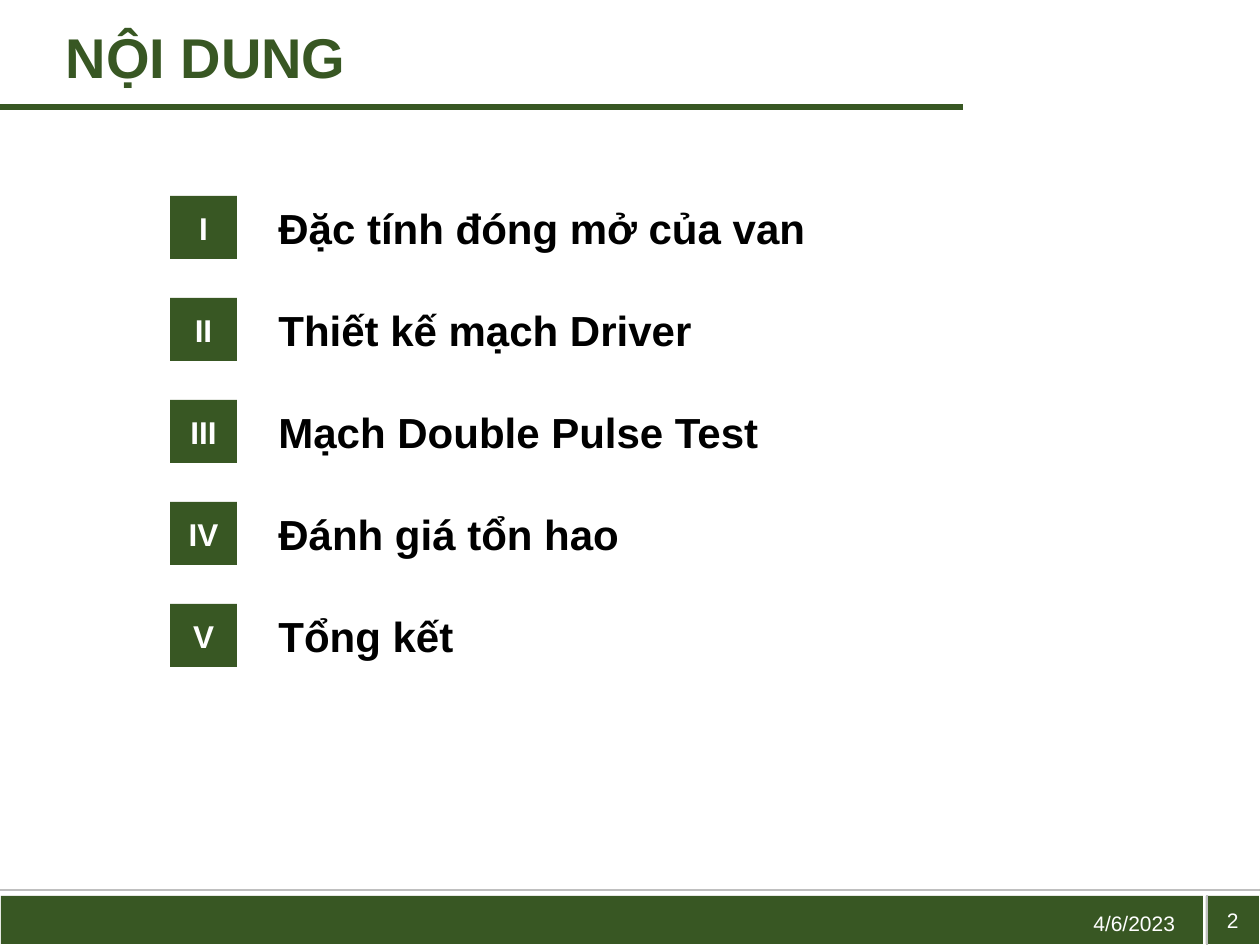
from dataclasses import dataclass

from lxml import etree
from pptx import Presentation
from pptx.dml.color import RGBColor
from pptx.enum import shapes, text
from pptx.oxml import ns
from pptx.util import Emu, Pt

EMU_PER_PX = 914400 / 126


@dataclass(frozen=True)
class Theme:
    green: str = "385723"
    grey: str = "BFBFBF"
    white: str = "FFFFFF"
    black: str = "000000"
    font: str = "Arial"
    heading: int = 32
    topic: int = 24
    numeral: int = 18
    footer: int = 12


THEME = Theme()
TOPICS = [
    ("I", "Đặc tính đóng mở của van"),
    ("II", "Thiết kế mạch Driver"),
    ("III", "Mạch Double Pulse Test"),
    ("IV", "Đánh giá tổn hao"),
    ("V", "Tổng kết"),
]


def px(*lengths):
    return [Emu(round(length * EMU_PER_PX)) for length in lengths]


def write(shape, words, size, color, bold=False, wrap=True,
          align=text.PP_ALIGN.LEFT, anchor=text.MSO_ANCHOR.MIDDLE):
    frame = shape.text_frame
    frame.auto_size = text.MSO_AUTO_SIZE.NONE
    frame.word_wrap = wrap
    frame.vertical_anchor = anchor
    paragraph = frame.paragraphs[0]
    paragraph.alignment = align
    run = paragraph.add_run()
    run.text = words
    run.font.name = THEME.font
    run.font.size = Pt(size)
    run.font.bold = bold
    run.font.color.rgb = RGBColor.from_string(color)


def add_block(slide, left, top, width, height):
    block = slide.shapes.add_shape(
        shapes.MSO_SHAPE.RECTANGLE, *px(left, top, width, height))
    block.shadow.inherit = False
    block.fill.solid()
    block.fill.fore_color.rgb = RGBColor.from_string(THEME.green)
    block.line.fill.background()
    return block


def add_label(slide, left, top, width, height, words, **style):
    label = slide.shapes.add_textbox(*px(left, top, width, height))
    write(label, words, **style)


def add_rule(slide, x1, y1, x2, y2):
    rule = slide.shapes.add_connector(
        shapes.MSO_CONNECTOR.STRAIGHT, *px(x1, y1, x2, y2))
    rule.line.color.rgb = RGBColor.from_string(THEME.grey)
    rule.line.width = Pt(1)
    properties = rule._element.find(ns.qn("p:spPr"))
    etree.SubElement(properties, ns.qn("a:effectLst"))


def add_heading(slide, left, top, width, height):
    add_block(slide, left, top + height - 6, width, 6)
    heading = slide.shapes.title
    heading.left, heading.top, heading.width, heading.height = px(
        left + 54, top, 324, 81)
    write(heading, "NỘI DUNG", THEME.heading, THEME.green, bold=True,
          wrap=False, anchor=text.MSO_ANCHOR.TOP)


def add_agenda(slide, left, top, width, height):
    row_height, badge_width, topic_offset = 63, 67, 96
    pitch = (height - row_height) / (len(TOPICS) - 1)
    for index, (numeral, topic) in enumerate(TOPICS):
        row_top = top + round(index * pitch)
        badge = add_block(slide, left, row_top, badge_width, row_height)
        write(badge, numeral, THEME.numeral, THEME.white, bold=True,
              align=text.PP_ALIGN.CENTER)
        add_label(slide, left + topic_offset, row_top, width - topic_offset,
                  row_height, topic, size=THEME.topic, color=THEME.black,
                  bold=True, anchor=text.MSO_ANCHOR.TOP)


def add_footer(slide, left, top, width, height):
    divider = left + width - 53
    add_block(slide, left + 1, top + 6, 1202, 48)
    add_block(slide, divider - 1, top + 6, 53, 48)
    add_rule(slide, left, top, left + width, top)
    add_rule(slide, divider, top + height, divider, top + 5)
    style = dict(size=THEME.footer, color=THEME.white)
    add_label(slide, divider - 126, top + 9, 126, 48, "4/6/2023", **style)
    add_label(slide, divider - 9, top + 4, 53, 52, "2",
              align=text.PP_ALIGN.RIGHT, **style)


def main():
    deck = Presentation()
    deck.slide_width, deck.slide_height = px(1260, 945)
    slide = deck.slides.add_slide(deck.slide_layouts.get_by_name("Title Only"))
    add_footer(slide, 0, 890, 1260, 55)
    add_heading(slide, -1, 16, 964, 94)
    add_agenda(slide, 170, 196, 747, 471)
    deck.save("out.pptx")


if __name__ == "__main__":
    main()
